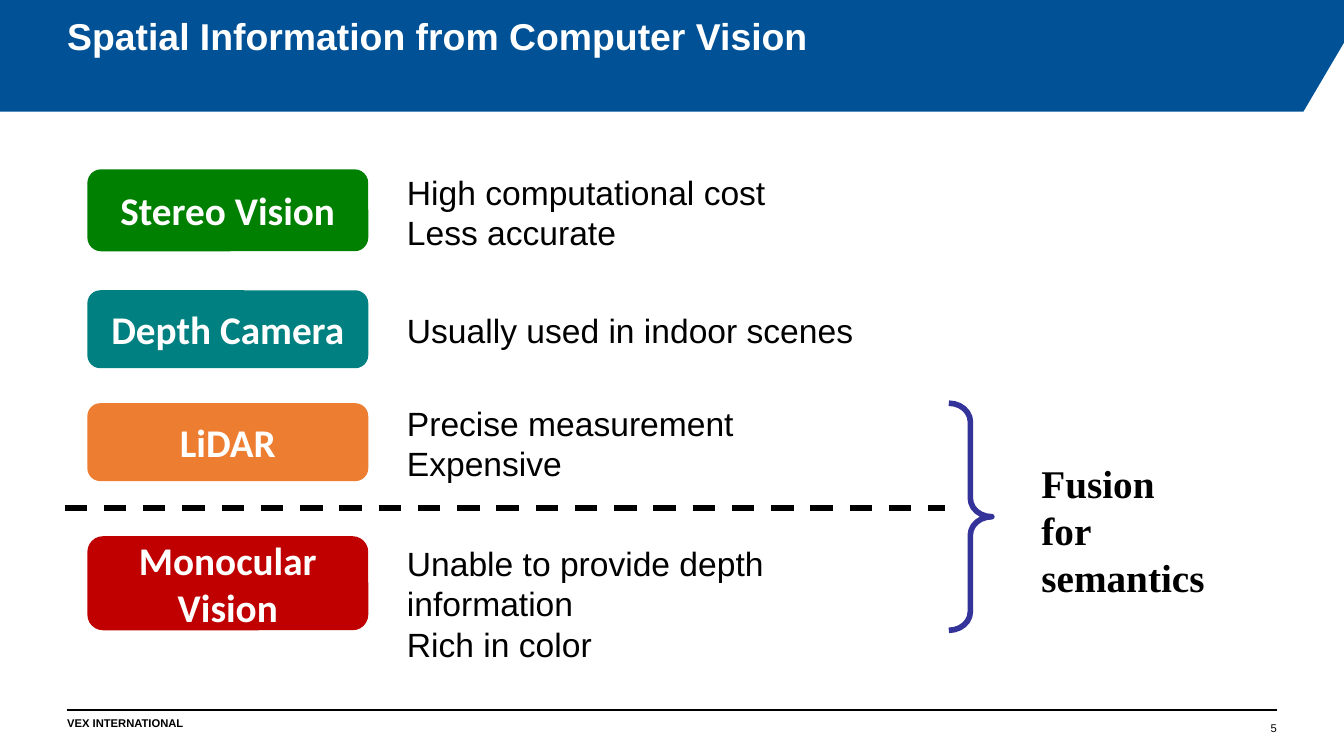
import pptx
import pptx.util
import pptx.dml.color
import pptx.enum.dml
import pptx.enum.shapes
import pptx.enum.text
import pptx.oxml.ns
import lxml.etree

Inches = pptx.util.Inches
RGBColor = pptx.dml.color.RGBColor
Align = pptx.enum.text.PP_ALIGN
Anchor = pptx.enum.text.MSO_ANCHOR
Shape = pptx.enum.shapes.MSO_SHAPE

BLUE = RGBColor(0x00, 0x51, 0x95)
WHITE = RGBColor(0xFF, 0xFF, 0xFF)
BLACK = RGBColor(0x00, 0x00, 0x00)
GREEN = RGBColor(0x00, 0x80, 0x00)
TEAL = RGBColor(0x00, 0x80, 0x80)
ORANGE = RGBColor(0xED, 0x7D, 0x31)
RED = RGBColor(0xC0, 0x00, 0x00)
INDIGO = RGBColor(0x33, 0x33, 0x99)

WIDTH = 10
HEIGHT = WIDTH * 9 / 16
LABEL_LEFT, LABEL_WIDTH = 0.65, 2.09
NOTE_LEFT = 2.93

SENSORS = [
    ("Stereo Vision", GREEN, 1.26, 0.61,
     "High computational cost\nLess accurate", 1.23, 3.84, 0.71),
    ("Depth Camera", TEAL, 2.16, 0.58,
     "Usually used in indoor scenes", 2.26, 3.84, 0.4),
    ("LiDAR", ORANGE, 3, 0.58,
     "Precise measurement\nExpensive", 2.95, 3.84, 0.71),
    ("Monocular Vision", RED, 3.99, 0.7,
     "Unable to provide depth information\nRich in color", 3.99, 4.14, 1.01),
]


def write_text(shape, text, size, font="Arial", color=BLACK, bold=False,
               align=Align.LEFT, anchor=Anchor.TOP):
    text_frame = shape.text_frame
    text_frame.text = text
    text_frame.word_wrap = True
    text_frame.vertical_anchor = anchor
    for paragraph in text_frame.paragraphs:
        paragraph.alignment = align
        for run in paragraph.runs:
            run.font.name = font
            run.font.size = pptx.util.Pt(size)
            run.font.bold = bold
            run.font.color.rgb = color


def add_text(slide, box, text, size, inset=True, **style):
    shape = slide.shapes.add_textbox(*map(Inches, box))
    write_text(shape, text, size, **style)
    if not inset:
        text_frame = shape.text_frame
        text_frame.margin_left = text_frame.margin_right = 0
        text_frame.margin_top = text_frame.margin_bottom = 0


def add_rule(slide, left, right, top, weight, dash=None):
    rule = slide.shapes.add_connector(
        pptx.enum.shapes.MSO_CONNECTOR.STRAIGHT,
        Inches(left), Inches(top), Inches(right), Inches(top))
    rule.line.color.rgb = BLACK
    rule.line.width = pptx.util.Pt(weight)
    if dash:
        rule.line.dash_style = dash
    properties = rule._element.spPr
    lxml.etree.SubElement(properties, pptx.oxml.ns.qn("a:effectLst"))


def add_page(slide, left, top, width, height):
    slide.background.fill.solid()
    slide.background.fill.fore_color.rgb = BLUE
    right, bottom = left + width, top + height
    band_bottom = top + 0.83
    corners = [(right, bottom), (right, top + 0.32),
               (right - 0.3, band_bottom), (left, band_bottom)]
    builder = slide.shapes.build_freeform(Inches(left), Inches(bottom))
    builder.add_line_segments(
        [(Inches(x), Inches(y)) for x, y in corners], close=True)
    panel = builder.convert_to_shape()
    panel.shadow.inherit = False
    panel.fill.solid()
    panel.fill.fore_color.rgb = WHITE
    panel.line.fill.background()


def add_title(slide, left, top, width, height):
    add_text(slide, (left, top, width, height),
             "Spatial Information from Computer Vision", 20,
             inset=False, color=WHITE, bold=True)


def add_footer(slide, left, top, width):
    column = 2.33
    add_rule(slide, left, left + width, top, 1)
    add_text(slide, (left, top + 0.05, column, 0.1), "VEX INTERNATIONAL", 6,
             inset=False, bold=True)
    add_text(slide, (left + width - column, top + 0.05, column, 0.14), "5", 6,
             inset=False, align=Align.RIGHT, anchor=Anchor.BOTTOM)


def add_sensor(slide, name, color, top, height, note, note_top, note_width, note_height):
    label = slide.shapes.add_shape(
        Shape.ROUNDED_RECTANGLE, Inches(LABEL_LEFT), Inches(top),
        Inches(LABEL_WIDTH), Inches(height))
    label.shadow.inherit = False
    label.fill.solid()
    label.fill.fore_color.rgb = color
    label.line.fill.background()
    write_text(label, name, 21, font="Calibri", color=WHITE, bold=True,
               align=Align.CENTER, anchor=Anchor.MIDDLE)
    add_text(slide, (NOTE_LEFT, note_top, note_width, note_height), note, 18)


def add_fusion(slide, left, top, height):
    brace = slide.shapes.add_shape(
        Shape.RIGHT_BRACE, Inches(left), Inches(top), Inches(0.32), Inches(height))
    brace.shadow.inherit = False
    brace.adjustments[0] = 0.43
    brace.adjustments[1] = 0.5
    brace.fill.background()
    brace.line.color.rgb = INDIGO
    brace.line.width = pptx.util.Pt(3)
    add_text(slide, (left + 0.59, top + 0.37, 1.81, 1.16),
             "Fusion\nfor semantics", 21, font="Times New Roman", bold=True)


def main():
    presentation = pptx.Presentation()
    presentation.slide_width = Inches(WIDTH)
    presentation.slide_height = Inches(HEIGHT)
    slide = presentation.slides.add_slide(presentation.slide_layouts[6])
    add_page(slide, 0, 0, WIDTH, HEIGHT)
    add_footer(slide, 0.5, 5.28, 9)
    add_title(slide, 0.5, 0.1, 9, 0.55)
    for sensor in SENSORS:
        add_sensor(slide, *sensor)
    add_fusion(slide, 7.06, 3, 1.69)
    add_rule(slide, 0.48, 7.03, 3.78, 3, pptx.enum.dml.MSO_LINE.DASH)
    presentation.save("out.pptx")


if __name__ == "__main__":
    main()
